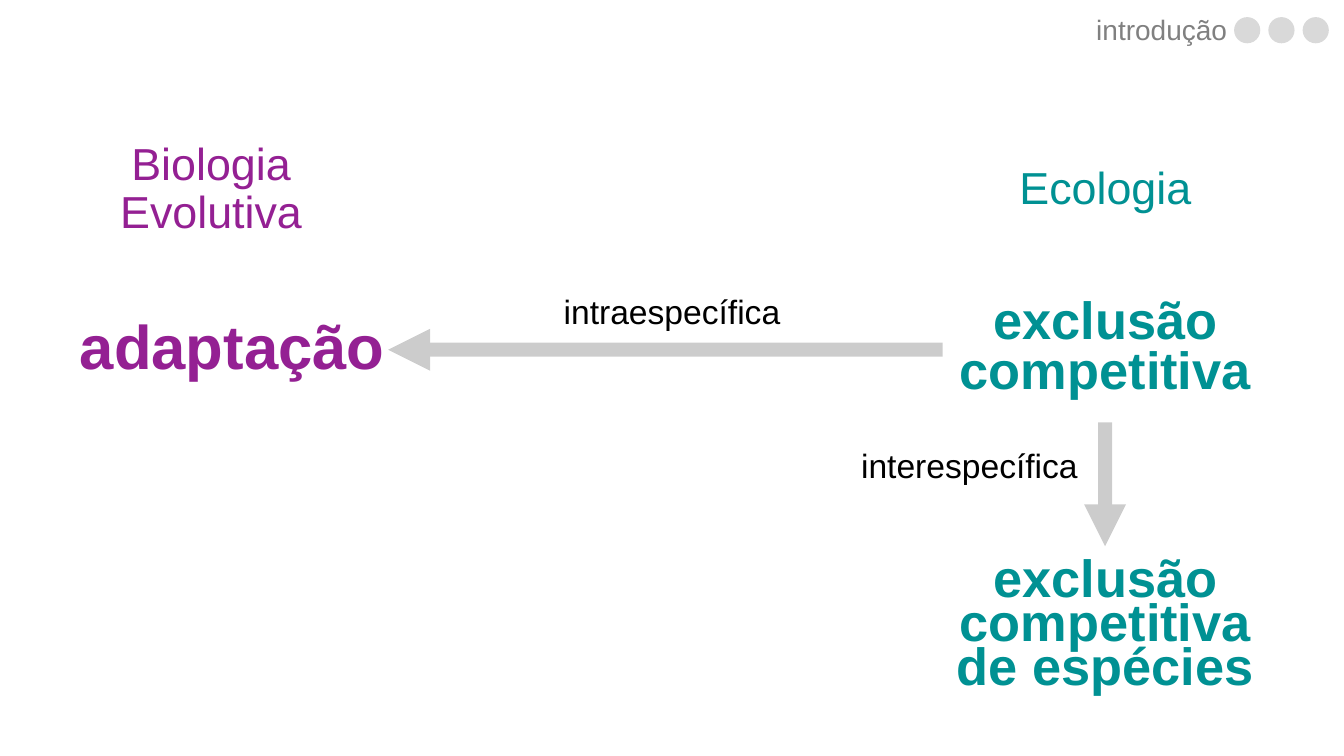
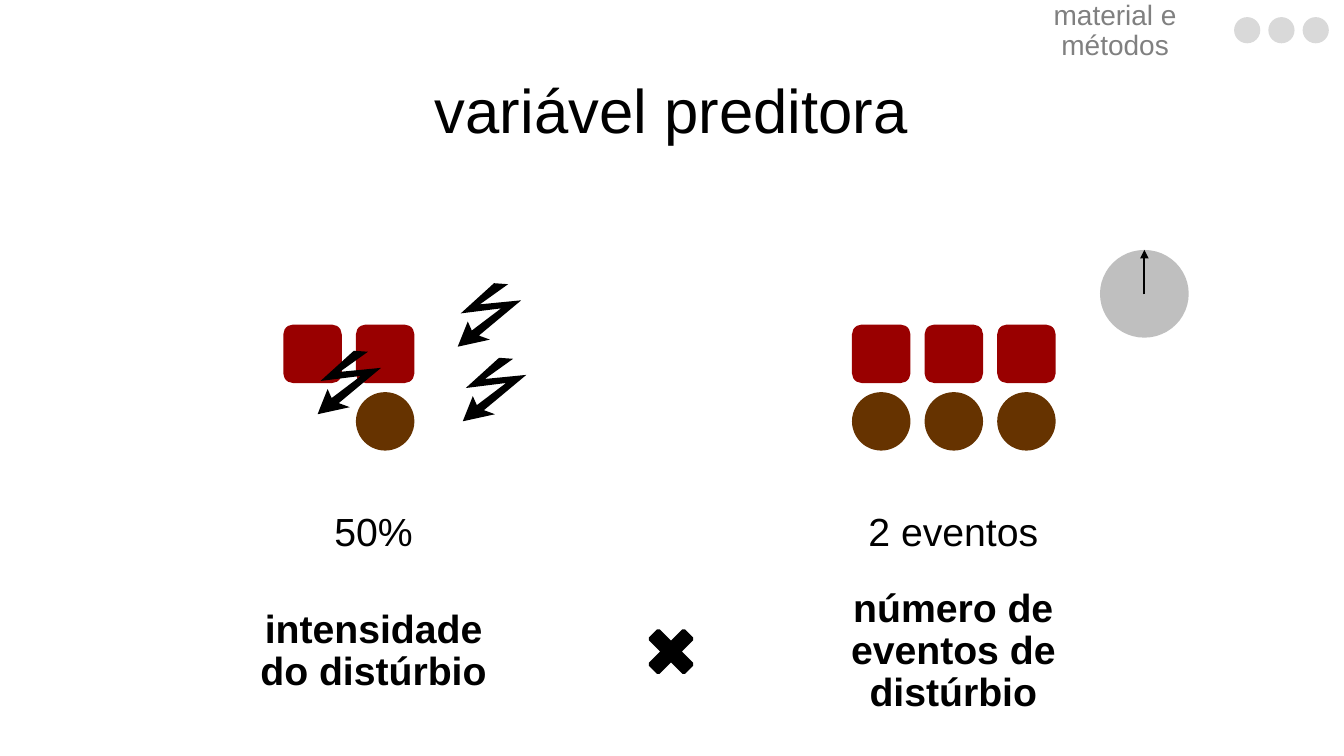
from lxml.etree import SubElement
from pptx import Presentation
from pptx.dml.color import RGBColor
from pptx.enum.shapes import MSO_CONNECTOR, MSO_SHAPE
from pptx.enum.text import MSO_ANCHOR, PP_ALIGN
from pptx.oxml.ns import qn
from pptx.util import Pt

PX = 9144  # EMU in one px, 100 px to the inch
COLORS = {
    "black": "000000", "section": "808080", "dot": "D9D9D9",
    "evolution": "942093", "ecology": "009193",
    "square": "990000", "circle": "663300", "clock": "BFBFBF",
}
BODY = {"size": Pt(28)}
BOLD_BODY = {"size": Pt(28), "bold": True}
LABEL = {"size": Pt(24)}
FIELD = {"size": Pt(32)}
TITLE = {"size": Pt(44)}
KEY_TERM = {"size": Pt(44), "bold": True}
CONCEPT = {"size": Pt(37.4), "bold": True}
SECTION = {"size": Pt(20)}


def add_text(slide, box, text, style, color="black", align=PP_ALIGN.CENTER, spacing=0.9):
    frame = slide.shapes.add_textbox(*(value * PX for value in box)).text_frame
    frame.word_wrap = True
    frame.vertical_anchor = MSO_ANCHOR.MIDDLE
    paragraph = frame.paragraphs[0]
    paragraph.text = text
    paragraph.alignment = align
    paragraph.line_spacing = spacing
    font = paragraph.runs[0].font
    for name, value in {"name": "Arial", **style}.items():
        setattr(font, name, value)
    font.color.rgb = RGBColor.from_string(COLORS[color])


def paint(shape, color):
    """Give a flat fill with neither outline nor shadow."""
    shape.shadow.inherit = False
    shape.fill.solid()
    shape.fill.fore_color.rgb = RGBColor.from_string(COLORS[color])
    shape.line.fill.background()


presentation = Presentation()
presentation.slide_width = 1333 * PX
presentation.slide_height = 750 * PX

# Section name and dots on both slides
slides = []
for section, align in (("introdução", PP_ALIGN.RIGHT), ("material e métodos", PP_ALIGN.CENTER)):
    slide = presentation.slides.add_slide(presentation.slide_layouts[6])
    slides.append(slide)
    add_text(slide, (985, 8, 242, 47), section, SECTION, "section", align)
    for column in range(3):
        dot = slide.shapes.add_shape(
            MSO_SHAPE.OVAL, (1224 + 34 * column) * PX, 17 * PX, 26 * PX, 26 * PX)
        paint(dot, "dot")
concept_slide, predictor_slide = slides

# Slide 1: concepts
for box, text, style, color, spacing in (
    ((48, 116, 323, 145), "Biologia Evolutiva", FIELD, "evolution", 0.9),
    ((935, 116, 323, 145), "Ecologia", FIELD, "ecology", 0.9),
    ((62, 274, 337, 145), "adaptação", KEY_TERM, "evolution", 0.9),
    ((935, 274, 323, 145), "exclusão competitiva", CONCEPT, "ecology", 0.8),
    ((478, 212, 377, 199), "intraespecífica", LABEL, "black", 0.9),
    ((773, 364, 377, 199), "interespecífica", LABEL, "black", 0.9),
    ((935, 545, 323, 156), "exclusão competitiva de espécies", CONCEPT, "ecology", 0.7),
):
    add_text(concept_slide, box, text, style, color, spacing=spacing)

# Slide 2: predictor variable
add_text(predictor_slide, (56, 40, 1220, 145), "variável preditora", TITLE)
for left, amount, variable in (
    (232, "50%", "intensidade do distúrbio"),
    (807, "2 eventos", "número de eventos de distúrbio"),
):
    add_text(predictor_slide, (left, 457, 277, 145), amount, BODY)
    add_text(predictor_slide, (left, 574, 277, 145), variable, BOLD_BODY)

for left, square_columns, circle_columns in (
    (281, (0, 1), (1,)),
    (845, (0, 1, 2), (0, 1, 2)),
):
    for kind, color, top, columns in (
        (MSO_SHAPE.ROUNDED_RECTANGLE, "square", 322, square_columns),
        (MSO_SHAPE.OVAL, "circle", 389, circle_columns),
    ):
        for column in columns:
            unit = predictor_slide.shapes.add_shape(
                kind, (left + 72 * column) * PX, top * PX, 58 * PX, 58 * PX)
            paint(unit, color)

BOLT = ((63, 17), (22, 21), (50, 1), (36, 0), (3, 30), (43, 25),
        (14, 47), (10, 38), (0, 63), (32, 56), (21, 52))
for left, top in ((454, 281), (315, 348), (459, 355)):
    builder = predictor_slide.shapes.build_freeform(*BOLT[0], scale=PX)
    builder.add_line_segments(BOLT[1:], close=True)
    paint(builder.convert_to_shape(left * PX, top * PX), "black")

clock = predictor_slide.shapes.add_shape(
    MSO_SHAPE.OVAL, 1091 * PX, 248 * PX, 88 * PX, 87 * PX)
paint(clock, "clock")

times_sign = predictor_slide.shapes.add_shape(
    MSO_SHAPE.CROSS, 642 * PX, 623 * PX, 47 * PX, 47 * PX)
paint(times_sign, "black")
times_sign.adjustments[0] = 0.38
times_sign.rotation = 45
times_sign.line.color.rgb = RGBColor.from_string(COLORS["black"])
times_sign.line.width = Pt(2.83)
SubElement(times_sign.element.spPr.find(qn("a:ln")), qn("a:round"))

# Arrows: concept links and clock hand
for slide, ends, width, opacity in (
    (concept_slide, (935, 347, 385, 347), 10, 20),
    (concept_slide, (1096, 419, 1096, 542), 10, 20),
    (predictor_slide, (1135, 292, 1135, 248), 1.5, 100),
):
    arrow = slide.shapes.add_connector(
        MSO_CONNECTOR.STRAIGHT, *(value * PX for value in ends))
    arrow.line.color.rgb = RGBColor.from_string(COLORS["black"])
    arrow.line.width = Pt(width)
    properties = arrow.element.spPr
    outline = properties.find(qn("a:ln"))
    if opacity < 100:
        color_element = outline.find(qn("a:solidFill")).find(qn("a:srgbClr"))
        SubElement(color_element, qn("a:alpha"), val=str(opacity * 1000))
    SubElement(outline, qn("a:tailEnd"), type="triangle")
    SubElement(properties, qn("a:effectLst"))

presentation.save("out.pptx")
